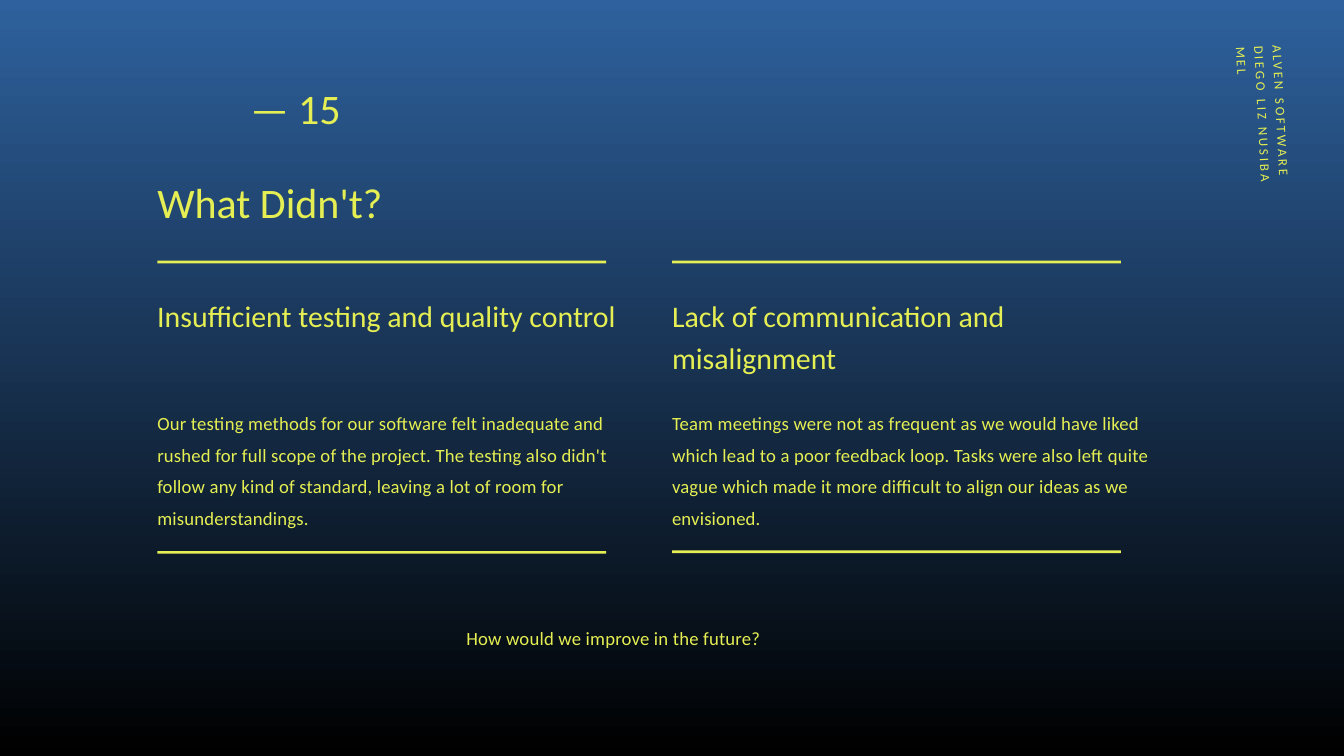
from pptx import Presentation
from pptx.dml.color import RGBColor
from pptx.enum.shapes import MSO_SHAPE
from pptx.util import Inches, Pt

YELLOW = RGBColor(0xE5, 0xEF, 0x53)
BLUE = RGBColor(0x2E, 0x61, 0x9D)
BLACK = RGBColor(0, 0, 0)

# Content
TEAM = "ALVEN SOFTWARE DIEGO LIZ NUSIBA MEL"
PAGE = "— 15"
TITLE = "What Didn't?"
QUESTION = "How would we improve in the future?"
# left, heading width, bottom rule top, heading, body
COLUMNS = [
    (2.34, 7, 8.2, "Insufficient testing and quality control",
     "Our testing methods for our software felt inadequate and rushed for full "
     "scope of the project. The testing also didn't follow any kind of standard, "
     "leaving a lot of room for misunderstandings."),
    (10, 6.78, 8.19, "Lack of communication and misalignment",
     "Team meetings were not as frequent as we would have liked which lead to a "
     "poor feedback loop. Tasks were also left quite vague which made it more "
     "difficult to align our ideas as we envisioned."),
]

# Text styles: size, line spacing, letter spacing (points)
LABEL = (14, 19.6, 2.8)
LARGE = (45, 63, 0)
HEADING = (32, 44.8, 0)
BODY = (20, 34, 0.2)

RULE_W, RULE_H = 6.68, 0.04


def add_text(s, text, box, style, rotation=0):
    size, leading, tracking = style
    sp = s.shapes.add_textbox(*map(Inches, box))
    sp.rotation = rotation
    tf = sp.text_frame
    tf.word_wrap = True
    tf.margin_left = tf.margin_top = tf.margin_right = tf.margin_bottom = 0
    p = tf.paragraphs[0]
    p.text = text
    p.line_spacing = Pt(leading)
    p.font.name = "Calibri"
    p.font.size = Pt(size)
    p.font.color.rgb = YELLOW
    if tracking:
        for r in p.runs:
            r._r.get_or_add_rPr().set("spc", str(round(tracking * 100)))


def add_rule(s, left, top):
    box = map(Inches, (left, top, RULE_W, RULE_H))
    sp = s.shapes.add_shape(MSO_SHAPE.RECTANGLE, *box)
    sp.shadow.inherit = False
    sp.fill.solid()
    sp.fill.fore_color.rgb = YELLOW
    sp.line.fill.background()


prs = Presentation()
prs.slide_width, prs.slide_height = Inches(20), Inches(11.25)
s = prs.slides.add_slide(prs.slide_layouts[6])

# Background, blue at the top to black at the bottom
fill = s.background.fill
fill.gradient()
fill.gradient_angle = 270
for stop, color in zip(fill.gradient_stops, (BLUE, BLACK)):
    stop.color.rgb = color

# Team label, page number and title
add_text(s, TEAM, (17.01, 0.77, 2.27, 2.16), LABEL, rotation=87.2)
add_text(s, PAGE, (3.73, 1.11, 2.01, 0.89), LARGE)
add_text(s, TITLE, (2.34, 2.5, 6.68, 0.89), LARGE)

# Two columns, each between two rules
for left, heading_w, bottom, heading, body in COLUMNS:
    add_rule(s, left, 3.88)
    add_rule(s, left, bottom)
    add_text(s, heading, (left, 4.34, heading_w, 1.24), HEADING)
    add_text(s, body, (left, 5.99, 7.21, 1.85), BODY)

# Closing question
add_text(s, QUESTION, (6.94, 9.19, 5.21, 0.44), BODY)

prs.save("out.pptx")
